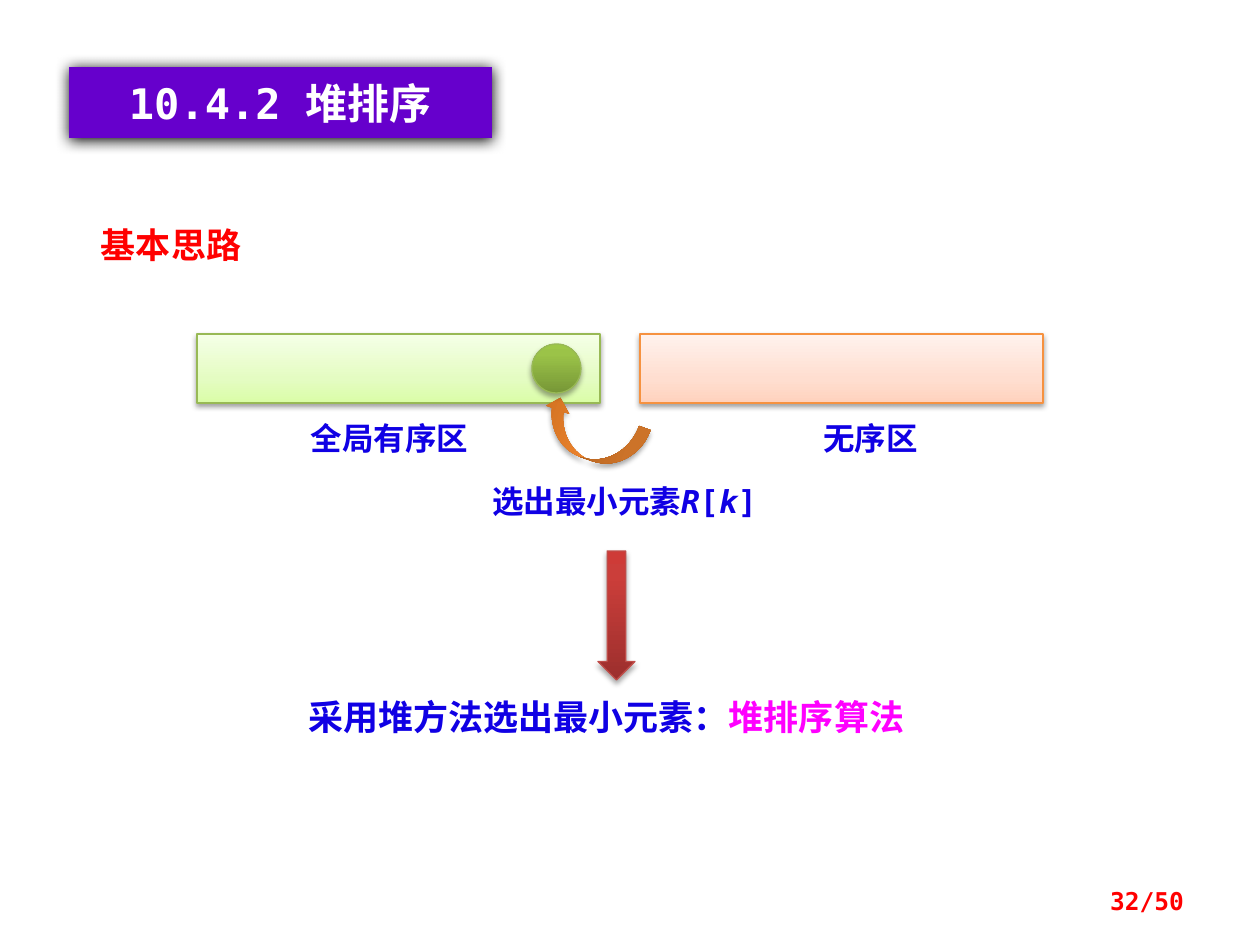
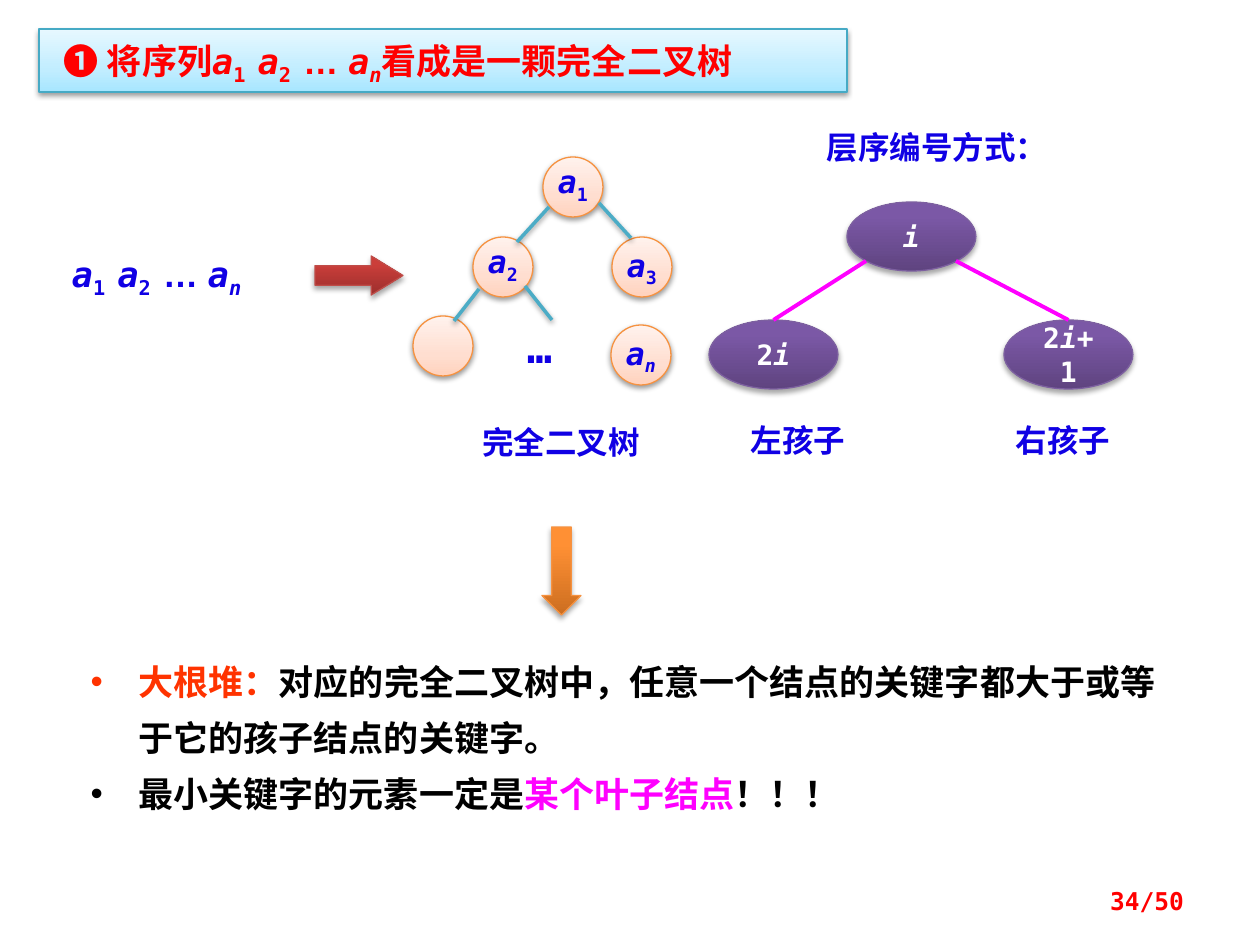
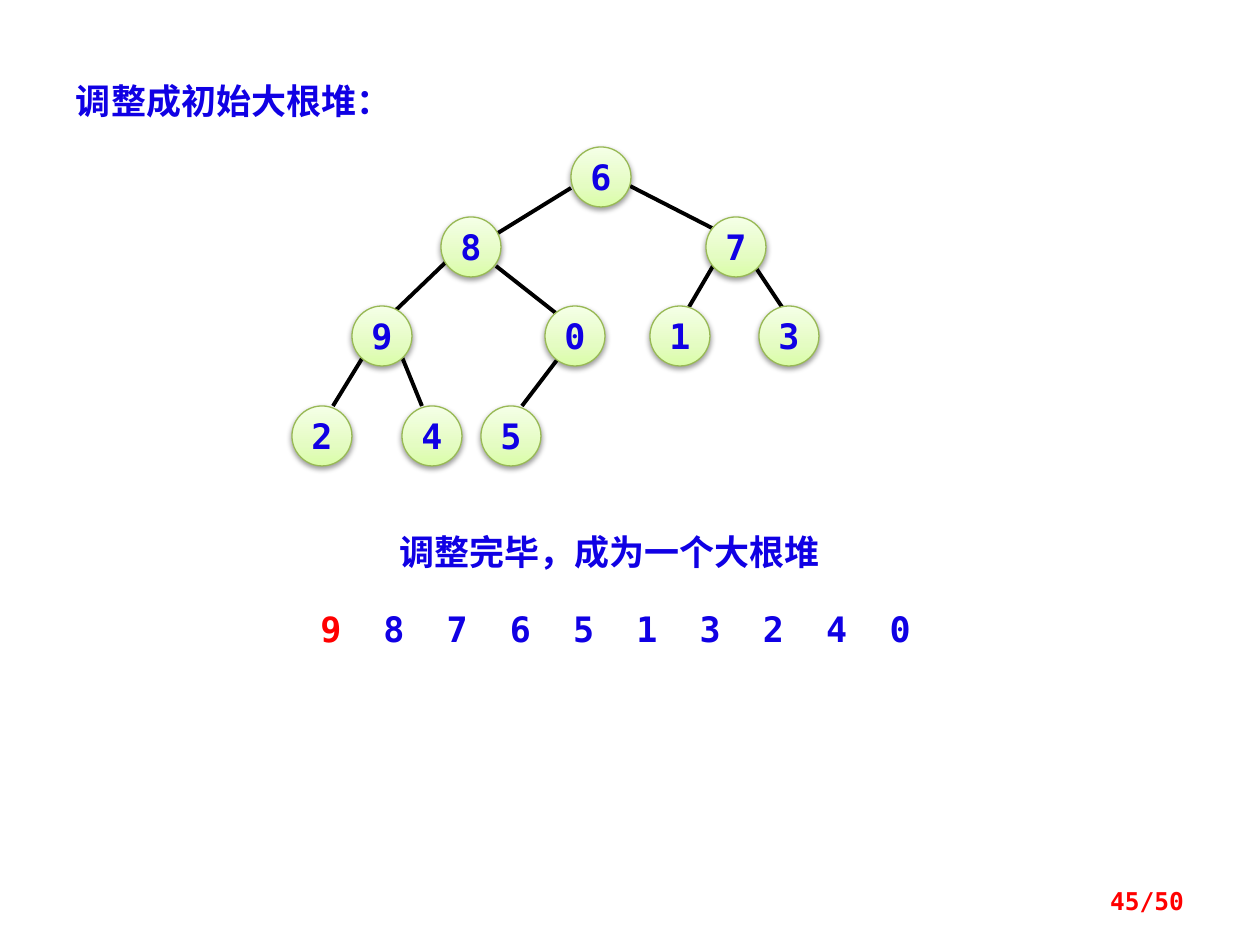
from lxml import etree
from pptx import Presentation
from pptx.dml.color import RGBColor
from pptx.enum.shapes import MSO_CONNECTOR, MSO_SHAPE
from pptx.enum.text import MSO_ANCHOR, MSO_AUTO_SIZE, PP_ALIGN
from pptx.oxml.ns import qn
from pptx.util import Emu, Pt

RECT, OVAL = MSO_SHAPE.RECTANGLE, MSO_SHAPE.OVAL
DOWN, RIGHT = MSO_SHAPE.DOWN_ARROW, MSO_SHAPE.RIGHT_ARROW
CURVE = MSO_SHAPE.CURVED_LEFT_ARROW
STRAIGHT = MSO_CONNECTOR.STRAIGHT
LEFT, MID, END = PP_ALIGN.LEFT, PP_ALIGN.CENTER, PP_ALIGN.RIGHT
TOP, CENTER = MSO_ANCHOR.TOP, MSO_ANCHOR.MIDDLE
FIXED = MSO_AUTO_SIZE.NONE

MONO, CJK = "DejaVu Sans Mono", "Noto Sans CJK SC"
BLUE, RED, PINK = "1000E4", "FF0000", "FF00FF"
WHITE, BLACK, TEAL = "FFFFFF", "000000", "4BACC6"
INSETS = (13, 6, 13, 6)

# Shadow: opacity %, blur pt, distance pt
SOFT, DEEP, HARD = (38, 3.1, 1.6), (35, 3.1, 1.8), (100, 8.5, 1)

# Look: gradient stops from bottom to top, outline, shadow
GREEN = ([(0, "DAFDA7"), (35, "E4FCC2"), (100, "F5FFE7")], "98B955", SOFT)
PEACH = ([(0, "FFD2BD"), (35, "FFDED0"), (100, "FFF2ED")], "F69240", SOFT)
SKY = ([(0, "A7E6FF"), (35, "C1EDFF"), (100, "E7F8FF")], "46AAC5", SOFT)
OLIVE = ([(0, "779737"), (80, "9BC348"), (100, "9DC746")], "98B955", DEEP)
ORANGE = ([(0, "CC6E20"), (80, "FF9034"), (100, "FF9136")], "F69240", DEEP)
BRICK = ([(0, "9C2F2D"), (80, "CB3E3A"), (100, "CE3B37")], "BF4C48", DEEP)
PLUM = ([(0, "5F4480"), (80, "7B58A6"), (100, "7C57A8")], "7D60A0", DEEP)


def px(n):
    return Emu(round(n * 914400 / 126))


def rgb(code):
    return RGBColor.from_string(code)


# Effects and fills
def shade(item, look=None):
    """Give a shape or connector the shadow, or none at all."""
    effects = etree.SubElement(item.element.spPr, qn("a:effectLst"))
    if look:
        alpha, blur, dist = look
        outer = etree.SubElement(effects, qn("a:outerShdw"), blurRad=str(Pt(blur)),
                                 dist=str(Pt(dist)), dir="5400000", rotWithShape="0")
        tone = etree.SubElement(outer, qn("a:srgbClr"), val=BLACK)
        etree.SubElement(tone, qn("a:alpha"), val=str(alpha * 1000))


def paint(item, look, edge=True):
    stops, line, shadow = look
    item.fill.gradient()
    item.fill.gradient_angle = 90
    holder = item.element.spPr.find(".//" + qn("a:gsLst"))
    for old in list(holder):
        holder.remove(old)
    for pos, code in stops:
        stop = etree.SubElement(holder, qn("a:gs"), pos=str(pos * 1000))
        etree.SubElement(stop, qn("a:srgbClr"), val=code)
    if edge:
        item.line.color.rgb = rgb(line)
        item.line.width = Pt(0.75)
    else:
        item.line.fill.background()
    shade(item, shadow)


# Text
def part(text, **style):
    return text, style


def terms():
    """Runs of the sequence a1 a2 … an."""
    return [part("a", italic=True), part("1 ", base=-25),
            part("a", italic=True), part("2 ", base=-25),
            part("… ", font="Arial"),
            part("a", italic=True), part("n", italic=True, base=-25)]


def add_run(para, text, size=18, color=BLUE, font=MONO, italic=False, base=0, gap=0):
    run = para.add_run()
    run.text = text
    run.font.size, run.font.name = Pt(size), font
    run.font.bold, run.font.italic = True, italic
    run.font.color.rgb = rgb(color)
    props = run._r.get_or_add_rPr()
    if base:
        props.set("baseline", str(base * 1000))
    if gap:
        props.set("spc", str(gap * 100))


def fill_para(para, runs, align, **style):
    para.alignment = align
    para.space_before = Pt(0)
    for text, own in runs:
        add_run(para, text, **{**style, **own})


def write(item, runs, align=MID, anchor=TOP, wrap=True, insets=INSETS, **style):
    frame = item.text_frame
    frame.auto_size = FIXED
    frame.word_wrap = wrap
    frame.vertical_anchor = anchor
    (frame.margin_left, frame.margin_top,
     frame.margin_right, frame.margin_bottom) = map(px, insets)
    if isinstance(runs, str):
        runs = [part(runs)]
    fill_para(frame.paragraphs[0], runs, align, **style)


# Elements
def place(item, box):
    item.left, item.top, item.width, item.height = map(px, box)
    return item


def label(slide, box, runs, **style):
    write(slide.shapes.add_textbox(*map(px, box)), runs, **style)


def title(slide, box, runs, **style):
    head = place(slide.shapes.title, box)
    write(head, runs, **style)
    return head


def shape(slide, kind, box, look, edge=True):
    item = slide.shapes.add_shape(kind, *map(px, box))
    paint(item, look, edge)
    return item


def node(slide, spot, look, runs=None, **style):
    item = shape(slide, OVAL, (*spot, 60, 60), look)
    if runs:
        write(item, runs, anchor=CENTER, wrap=False, **style)


def link(slide, ends, color, width=2.25, shadow=None):
    line = slide.shapes.add_connector(STRAIGHT, *map(px, ends))
    line.line.color.rgb = rgb(color)
    line.line.width = Pt(width)
    shade(line, shadow)
    return line


def bullets(item, rows):
    frame = item.text_frame
    frame.auto_size = FIXED
    for i, runs in enumerate(rows):
        para = frame.add_paragraph() if i else frame.paragraphs[0]
        props = para._p.get_or_add_pPr()
        props.set("marL", str(px(48)))
        props.set("indent", str(px(-48)))
        etree.SubElement(props, qn("a:buChar"), char="•")
        para.line_spacing = Pt(32)
        fill_para(para, runs, LEFT, size=20, color=BLACK)


def new_slide(deck, layout, page):
    slide = deck.slides.add_slide(deck.slide_layouts[layout])
    label(slide, (903, 876, 294, 50), f"{page}/50", align=END, anchor=CENTER,
          size=14, color=RED)
    return slide


# Slides
def idea(deck):
    slide = new_slide(deck, 5, 32)
    head = title(slide, (69, 67, 423, 71), "10.4.2 堆排序", size=24, color=WHITE,
                 insets=(13, 10, 13, 10))
    head.fill.solid()
    head.fill.fore_color.rgb = rgb("6600CC")
    shade(head, HARD)
    label(slide, (88, 217, 266, 55), "基本思路", align=LEFT, size=20, color=RED, font=CJK)

    # Sorted and unsorted zones
    for left, look, mark, name in ((197, GREEN, 286, "全局有序区"),
                                   (640, PEACH, 767, "无序区")):
        shape(slide, RECT, (left, 334, 403, 69), look)
        label(slide, (mark, 413, 207, 50), name)
    arc = shape(slide, CURVE, (567, 381, 49, 108), ORANGE, edge=False)
    arc.rotation = 109.7
    shape(slide, OVAL, (532, 344, 49, 49), OLIVE)
    label(slide, (462, 476, 325, 50),
          [part("选出最小元素"), part("R", italic=True), part("["),
           part("k", italic=True), part("]")])

    # Conclusion
    shape(slide, DOWN, (598, 551, 37, 129), BRICK)
    label(slide, (295, 689, 709, 55),
          [part("采用堆方法选出最小元素："), part("堆排序算法", color=PINK)],
          align=LEFT, size=20)


def heap(deck):
    slide = new_slide(deck, 1, 34)
    head = title(slide, (39, 29, 808, 63),
                 [part("❶ 将序列"), *terms(), part("看成是一颗完全二叉树")],
                 align=LEFT, size=20, color=RED, insets=(25, 10, 13, 10))
    paint(head, SKY)

    # Sequence to tree
    label(slide, (59, 246, 227, 55), terms(), align=LEFT, size=20)
    arrow = shape(slide, RIGHT, (315, 256, 88, 39), BRICK)
    arrow.adjustments[1] = 0.815
    raised, flat = (13, 0, 13, 6), (0, 0, 0, 0)
    for spot, sub, insets in (((543, 157), "1", raised), ((473, 237), "2", raised),
                              ((612, 237), "3", flat), ((611, 325), "n", flat)):
        node(slide, spot, PEACH,
             [part("a", italic=True), part(sub, italic=sub == "n", base=-25)],
             insets=insets)
    node(slide, (413, 316), PEACH)
    for ends in ((549, 207, 517, 242), (599, 203, 631, 238),
                 (479, 289, 454, 321), (525, 286, 552, 320)):
        link(slide, ends, TEAL, 2, SOFT)
    label(slide, (514, 316, 89, 63), "…", align=LEFT, size=24)
    label(slide, (423, 417, 276, 50), "完全二叉树", font=CJK)

    # Numbering of parent and children
    label(slide, (798, 122, 246, 50), "层序编号方式：", font=CJK)
    i = part("i", italic=True)
    ovals = []
    for spot, runs in (((847, 202), [i]), ((709, 320), [part("2"), i]),
                       ((1004, 320), [part("2"), i, part("+1")])):
        oval = shape(slide, OVAL, (*spot, 129, 69), PLUM)
        write(oval, runs, anchor=CENTER, size=16, color=WHITE)
        ovals.append(oval)
    for start, child in zip((866, 956), ovals[1:]):
        link(slide, (start, 261, start, 320), PINK).end_connect(child, 0)
    for left, name in ((709, "左孩子"), (974, "右孩子")):
        label(slide, (left, 415, 178, 50), name, font=CJK)

    # Definition
    shape(slide, DOWN, (542, 527, 39, 88), ORANGE)
    body = place(slide.placeholders[1], (78, 640, 1092, 183))
    body.fill.solid()
    body.fill.fore_color.rgb = rgb(WHITE)
    bullets(body, [
        [part("大根堆：", color="FF3300"),
         part("对应的完全二叉树中，任意一个结点的关键字都大于或等于它的孩子结点的关键字。")],
        [part("最小关键字的元素一定是"), part("某个叶子结点", color=PINK), part("！！！")]])


def build(deck):
    slide = new_slide(deck, 5, 45)
    title(slide, (63, 73, 449, 55), "调整成初始大根堆：", align=LEFT, size=20)

    # Tree
    for ends in ((571, 188, 498, 233), (630, 186, 712, 228), (446, 262, 396, 310),
                 (496, 266, 557, 314), (713, 266, 689, 307), (756, 268, 782, 307),
                 (363, 357, 333, 406), (402, 357, 422, 406), (557, 360, 522, 406)):
        link(slide, ends, BLACK)
    rows = ((147, {"6": 571}), (217, {"8": 441, "7": 706}),
            (306, {"9": 352, "0": 545, "1": 650, "3": 759}),
            (406, {"2": 292, "4": 402, "5": 481}))
    for top, keys in rows:
        for key, left in keys.items():
            node(slide, (left, top), GREEN, key, size=20)

    # Result
    label(slide, (312, 524, 595, 55), "调整完毕，成为一个大根堆", size=20, font=CJK)
    label(slide, (286, 601, 659, 55),
          [part("9", color=RED, gap=6), part(" 8 7 6 5 1 3 2 4 ", gap=6), part("0")],
          size=20)


def main():
    deck = Presentation()
    deck.slide_width, deck.slide_height = px(1260), px(945)
    idea(deck)
    heap(deck)
    build(deck)
    deck.save("out.pptx")


if __name__ == "__main__":
    main()
